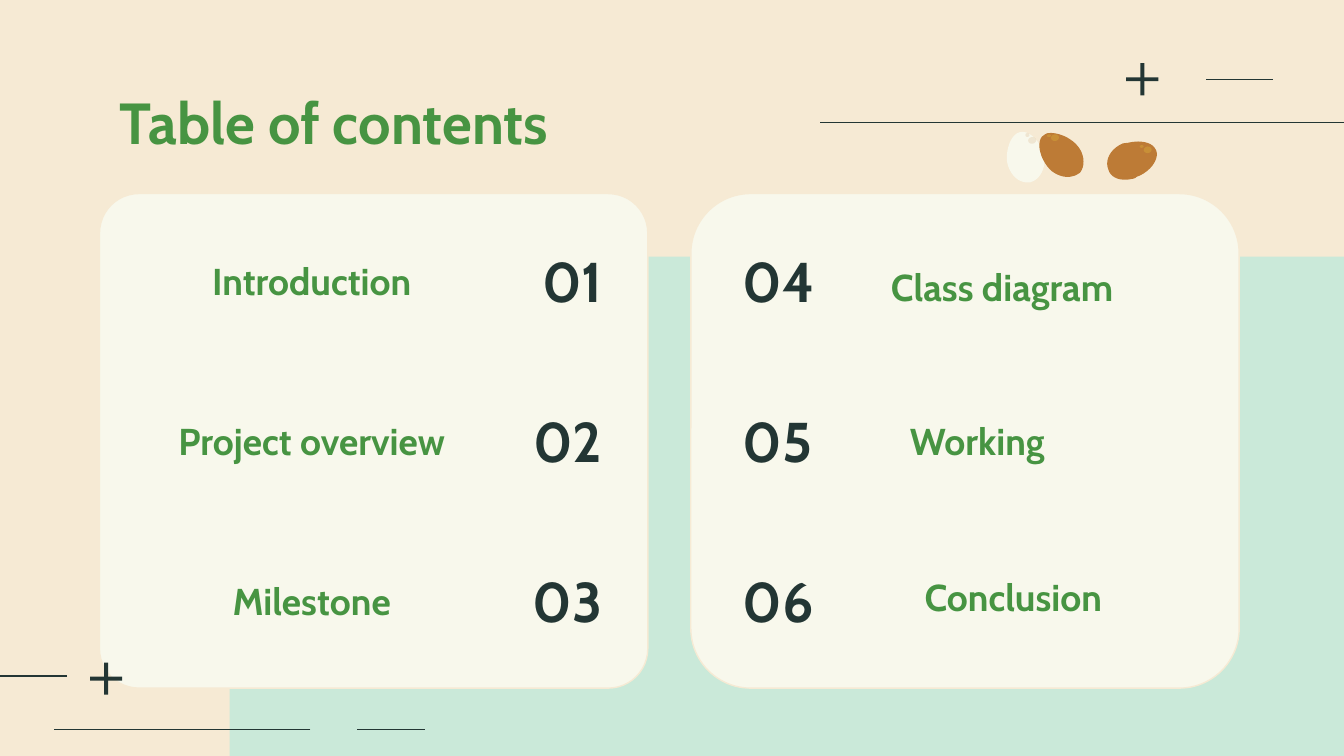
import pptx
import pptx.util
import lxml.etree
from pptx.dml.color import RGBColor
from pptx.enum.shapes import MSO_CONNECTOR, MSO_SHAPE
from pptx.enum.text import MSO_ANCHOR, MSO_AUTO_SIZE, PP_ALIGN
from pptx.oxml.ns import qn

# Content: number, label, label left, label drop within its row, alignment, indent
TITLE = "Table of contents"
LEFT_ENTRIES = [
    ("01", "Introduction", 1.04, 0.04, "center", 0),
    ("02", "Project overview", 1.04, 0.04, "center", 0),
    ("03", "Milestone", 1.04, 0.04, "center", 0),
]
RIGHT_ENTRIES = [
    ("04", "Class diagram", 6.53, 0.08, "left", 0),
    ("05", "Working", 6.42, 0.04, "left", 0.25),
    ("06", "Conclusion", 6.26, 0.01, "center", 0),
]

THEME = {
    "sand": "F6EAD4", "mint": "CAE9D9", "cream": "F8F8EC", "ink": "233634",
    "green": "479442", "brown": "BD7B36", "yellow": "FAEA3F",
    "font": "Cabin", "title": 31, "number": 30, "label": 20, "line": 0.75,
}
ALIGN = {"left": PP_ALIGN.LEFT, "center": PP_ALIGN.CENTER, "right": PP_ALIGN.RIGHT}

# Layout: a 16:9 slide
WIDTH = 10
HEIGHT = WIDTH * 9 / 16
CARD_TOP, CARD_W, CARD_H = 1.44, 4.08, 3.68
ROW_TOP, ROW_STEP = 1.76, 1.19
NUMBER_W, NUMBER_H, LABEL_W, LABEL_H = 0.84, 0.65, 2.56, 0.58
# Card left, corner rounding, number left, number alignment, entries
CARDS = [
    (0.74, 0.08, 3.74, "right", LEFT_ENTRIES),
    (5.14, 0.121, 5.43, "left", RIGHT_ENTRIES),
]
# Line start x, end x, y
RULES = [(9.47, 8.97, 0.59), (3.16, 2.66, 5.43), (0.5, 0, 5.03),
         (10, 6.1, 0.91), (2.31, 0.4, 5.43)]
PLUSES = [(8.38, 0.47), (0.67, 4.93)]
PLUS_SIZE, PLUS_BAR = 0.24, 0.03

# Eggs: colour, start, Bezier curves, spot colour, spot opacity, spots
EGG_TILT = 353.2
EGGS = [
    ("cream", (7.61, 0.98),
     [(7.54, 0.99, 7.49, 1.1, 7.49, 1.19), (7.5, 1.29, 7.56, 1.36, 7.64, 1.36),
      (7.72, 1.35, 7.77, 1.27, 7.77, 1.18), (7.76, 1.08, 7.69, 0.97, 7.61, 0.98)],
     "brown", 14, [(7.65, 1.02, 0.06, 0.05), (7.63, 0.99, 0.03, 0.03)]),
    ("brown", (7.82, 0.98),
     [(7.8, 0.98, 7.79, 0.99, 7.77, 1), (7.72, 1.05, 7.74, 1.17, 7.8, 1.25),
      (7.84, 1.3, 7.91, 1.33, 7.96, 1.32), (7.98, 1.32, 8, 1.31, 8.02, 1.3),
      (8.07, 1.25, 8.07, 1.15, 8.01, 1.08), (7.96, 1.02, 7.88, 0.98, 7.82, 0.98)],
     "yellow", 18, [(7.82, 1, 0.06, 0.05), (7.79, 1, 0.03, 0.02)]),
    ("brown", (8.41, 1.06),
     [(8.39, 1.06, 8.38, 1.06, 8.37, 1.06), (8.27, 1.09, 8.22, 1.17, 8.24, 1.24),
      (8.25, 1.31, 8.33, 1.34, 8.41, 1.33), (8.42, 1.33, 8.43, 1.33, 8.44, 1.32),
      (8.54, 1.3, 8.63, 1.21, 8.61, 1.14), (8.59, 1.07, 8.49, 1.05, 8.41, 1.06)],
     "yellow", 18, [(8.51, 1.09, 0.06, 0.05), (8.48, 1.08, 0.03, 0.02)]),
]


def color(name):
    return RGBColor.from_string(THEME[name])


def inches(*values):
    return [pptx.util.Inches(value) for value in values]


def paint(shape, fill, outline=None, opacity=None):
    shape.shadow.inherit = False
    shape.fill.solid()
    shape.fill.fore_color.rgb = color(fill)
    if opacity:
        tint = shape._element.spPr.find(".//" + qn("a:srgbClr"))
        lxml.etree.SubElement(tint, qn("a:alpha"), val=str(opacity * 1000))
    if outline:
        shape.line.color.rgb = color(outline)
        shape.line.width = pptx.util.Pt(THEME["line"])
    else:
        shape.line.fill.background()
    return shape


def add_shape(slide, kind, box, fill, **style):
    return paint(slide.shapes.add_shape(kind, *inches(*box)), fill, **style)


def write(holder, text, *, box, size, ink, align="left", indent=0):
    holder.left, holder.top, holder.width, holder.height = inches(*box)
    frame = holder.text_frame
    frame.word_wrap = True
    frame.auto_size = MSO_AUTO_SIZE.NONE
    frame.vertical_anchor = MSO_ANCHOR.MIDDLE
    frame.margin_top, frame.margin_bottom, frame.margin_right = inches(0.1, 0.1, 0.1)
    frame.margin_left = pptx.util.Inches(0.1 + indent)
    paragraph = frame.paragraphs[0]
    paragraph.alignment = ALIGN[align]
    run = paragraph.add_run()
    run.text = text
    run.font.name = THEME["font"]
    run.font.size = pptx.util.Pt(THEME[size])
    run.font.bold = True
    run.font.color.rgb = color(ink)


def add_text(slide, text, **style):
    write(slide.shapes.add_textbox(*inches(*style["box"])), text, **style)


def add_rule(slide, start, end, y):
    rule = slide.shapes.add_connector(MSO_CONNECTOR.STRAIGHT, *inches(start, y, end, y))
    rule.line.color.rgb = color("ink")
    rule.line.width = pptx.util.Pt(THEME["line"])
    lxml.etree.SubElement(rule._element.spPr, qn("a:effectLst"))


def add_plus(slide, left, top):
    inset = (PLUS_SIZE - PLUS_BAR) / 2
    for box in ((left, top + inset, PLUS_SIZE, PLUS_BAR),
                (left + inset, top, PLUS_BAR, PLUS_SIZE)):
        add_shape(slide, MSO_SHAPE.RECTANGLE, box, "ink")


def curve_points(start, curves, steps=10):
    points = [start]
    for x1, y1, x2, y2, x3, y3 in curves:
        x0, y0 = points[-1]
        for step in range(1, steps + 1):
            t = step / steps
            a, b, c, d = (1 - t) ** 3, 3 * t * (1 - t) ** 2, 3 * t * t * (1 - t), t ** 3
            points.append((a * x0 + b * x1 + c * x2 + d * x3,
                           a * y0 + b * y1 + c * y2 + d * y3))
    return [tuple(inches(*point)) for point in points]


def add_egg(slide, fill, start, curves, spot_fill, opacity, spots):
    points = curve_points(start, curves)
    builder = slide.shapes.build_freeform(*points[0])
    builder.add_line_segments(points[1:], close=True)
    paint(builder.convert_to_shape(), fill).rotation = EGG_TILT
    for box in spots:
        spot = add_shape(slide, MSO_SHAPE.OVAL, box, spot_fill, opacity=opacity)
        spot.rotation = EGG_TILT


def main():
    deck = pptx.Presentation()
    deck.slide_width, deck.slide_height = inches(WIDTH, HEIGHT)
    slide = deck.slides.add_slide(deck.slide_layouts[5])

    # Background
    slide.background.fill.solid()
    slide.background.fill.fore_color.rgb = color("sand")
    panel = add_shape(slide, MSO_SHAPE.ROUND_1_RECTANGLE,
                      (1.71, 1.91, WIDTH - 1.71, HEIGHT - 1.91), "mint")
    panel.adjustments[0] = 0.307
    panel._element.spPr.xfrm.set("flipH", "1")

    # Title
    write(slide.shapes.title, TITLE, box=(0.79, 0.59, 8.43, 0.62),
          size="title", ink="green")

    # Cards with numbered entries
    for card_left, rounding, number_left, number_align, entries in CARDS:
        card = add_shape(slide, MSO_SHAPE.ROUNDED_RECTANGLE,
                         (card_left, CARD_TOP, CARD_W, CARD_H), "cream", outline="sand")
        card.adjustments[0] = rounding
        for row, (number, label, left, drop, align, indent) in enumerate(entries):
            top = ROW_TOP + row * ROW_STEP
            add_text(slide, number, box=(number_left, top, NUMBER_W, NUMBER_H),
                     size="number", ink="ink", align=number_align)
            add_text(slide, label, box=(left, top + drop, LABEL_W, LABEL_H),
                     size="label", ink="green", align=align, indent=indent)

    # Decoration
    for rule in RULES:
        add_rule(slide, *rule)
    for egg in EGGS:
        add_egg(slide, *egg)
    for plus in PLUSES:
        add_plus(slide, *plus)

    deck.save("out.pptx")


if __name__ == "__main__":
    main()
